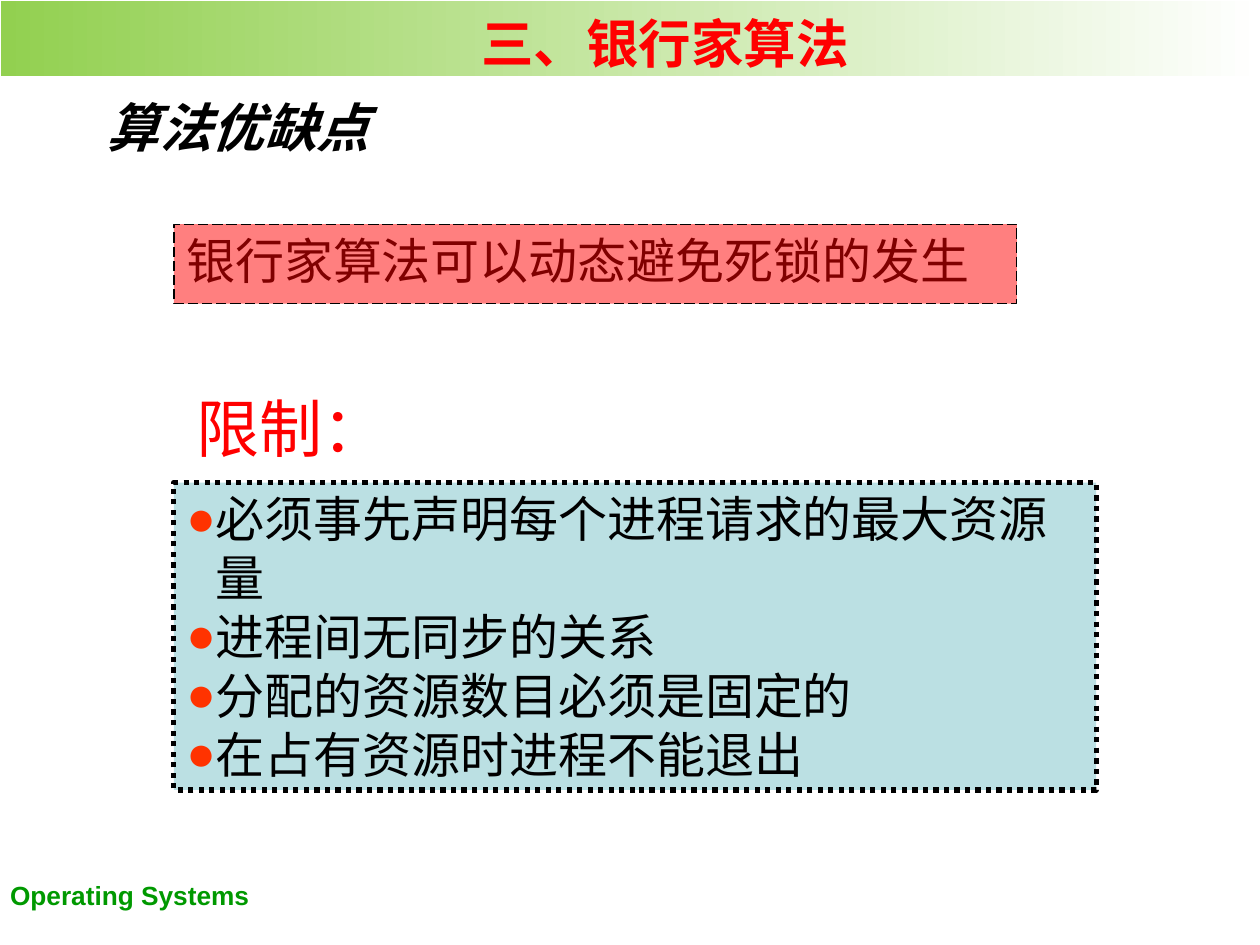
import pptx
import pptx.util
import pptx.dml.color
import pptx.enum.dml
import pptx.enum.shapes
import pptx.enum.text
import pptx.oxml.ns
import lxml.etree

Inches = pptx.util.Inches
Pt = pptx.util.Pt
Dash = pptx.enum.dml.MSO_LINE
qn = pptx.oxml.ns.qn

COLORS = {
    "green": "92D050", "white": "FFFFFF", "red": "FF0000", "black": "000000",
    "leaf": "009900", "teal": "BBE0E3", "orange": "FF3300",
}
LIMITS = [
    "必须事先声明每个进程请求的最大资源量",
    "进程间无同步的关系",
    "分配的资源数目必须是固定的",
    "在占有资源时进程不能退出",
]


def tint(name):
    return pptx.dml.color.RGBColor.from_string(COLORS[name])


class Deck:
    """Holds the text style and the current slide."""

    font = "Arial"
    wide = (0.1, 0.05)
    tight = (0.08, 0.04)

    def __init__(self, slide):
        self.slide = slide

    def rect(self, *box):
        kind = pptx.enum.shapes.MSO_SHAPE.RECTANGLE
        shape = self.slide.shapes.add_shape(kind, *map(Inches, box))
        shape.shadow.inherit = False
        return shape

    def band(self, box, start, end):
        shape = self.rect(*box)
        shape.line.fill.background()
        shape.fill.gradient()
        shape.fill.gradient_angle = 0
        for stop, name in zip(shape.fill.gradient_stops, (start, end)):
            stop.color.rgb = tint(name)

    def panel(self, box, fill, width, dash, alpha=None):
        """Add a filled, dashed rectangle; alpha is opacity in percent."""
        shape = self.rect(*box)
        shape.fill.solid()
        shape.fill.fore_color.rgb = tint(fill)
        if alpha is not None:
            color = shape.element.spPr.find(
                qn("a:solidFill") + "/" + qn("a:srgbClr"))
            lxml.etree.SubElement(color, qn("a:alpha"), val=str(alpha * 1000))
        shape.line.color.rgb = tint("black")
        shape.line.width = Pt(width)
        shape.line.dash_style = dash
        return shape

    def fill_text(self, shape, lines, size, color="black", font=None,
                  bold=False, italic=False, inset=wide, wrap=True):
        frame = shape.text_frame
        frame.text = "\n".join(lines)
        frame.word_wrap = wrap
        frame.vertical_anchor = pptx.enum.text.MSO_ANCHOR.TOP
        frame.margin_left = frame.margin_right = Inches(inset[0])
        frame.margin_top = frame.margin_bottom = Inches(inset[1])
        for para in frame.paragraphs:
            para.alignment = pptx.enum.text.PP_ALIGN.LEFT
            for run in para.runs:
                run.font.name = font or self.font
                run.font.size = Pt(size)
                run.font.bold = bold
                run.font.italic = italic
                run.font.color.rgb = tint(color)
        return frame

    def label(self, box, text, size, **style):
        shape = self.slide.shapes.add_textbox(*map(Inches, box))
        return self.fill_text(shape, [text], size, **style)

    def bullet(self, frame, mark, color, indent):
        for para in frame.paragraphs:
            props = para._p.get_or_add_pPr()
            props.set("marL", str(Inches(indent)))
            props.set("indent", str(-Inches(indent)))
            fill = lxml.etree.SubElement(props, qn("a:buClr"))
            lxml.etree.SubElement(fill, qn("a:srgbClr"), val=COLORS[color])
            lxml.etree.SubElement(props, qn("a:buFont"), typeface=self.font)
            lxml.etree.SubElement(props, qn("a:buChar"), char=mark)


def main():
    show = pptx.Presentation()
    show.slide_width, show.slide_height = Inches(10), Inches(7.5)
    deck = Deck(show.slides.add_slide(show.slide_layouts[6]))

    deck.band((0.01, 0.01, 10.02, 0.59), "green", "white")
    deck.label((3.74, 0.05, 3.09, 0.58), "三、银行家算法", 30, color="red",
               bold=True, inset=deck.tight, wrap=False)
    deck.label((0, 6.94, 2.77, 0.33), "Operating Systems", 15, color="leaf",
               bold=True, inset=deck.tight)

    topic = deck.label((0.75, 0.76, 2.4, 0.67), "算法优缺点", 30,
                       bold=True, italic=True)
    topic.paragraphs[0].line_spacing = 0.9
    topic.paragraphs[0].space_before = Pt(7.5)

    limits = deck.panel((1.38, 3.83, 7.32, 2.44), "teal", 3, Dash.ROUND_DOT)
    deck.bullet(deck.fill_text(limits, LIMITS, 28), "●", "orange", 0.23)

    deck.label((1.38, 1.78, 6.69, 0.57), "银行家算法可以动态避免死锁的发生", 28)
    deck.label((1.46, 3.04, 1.7, 0.7), "限制：", 36, color="red",
               font="Noto Sans CJK SC", wrap=False)
    deck.panel((1.38, 1.78, 6.69, 0.63), "red", 0.75, Dash.LONG_DASH, alpha=50)

    show.save("out.pptx")


if __name__ == "__main__":
    main()
